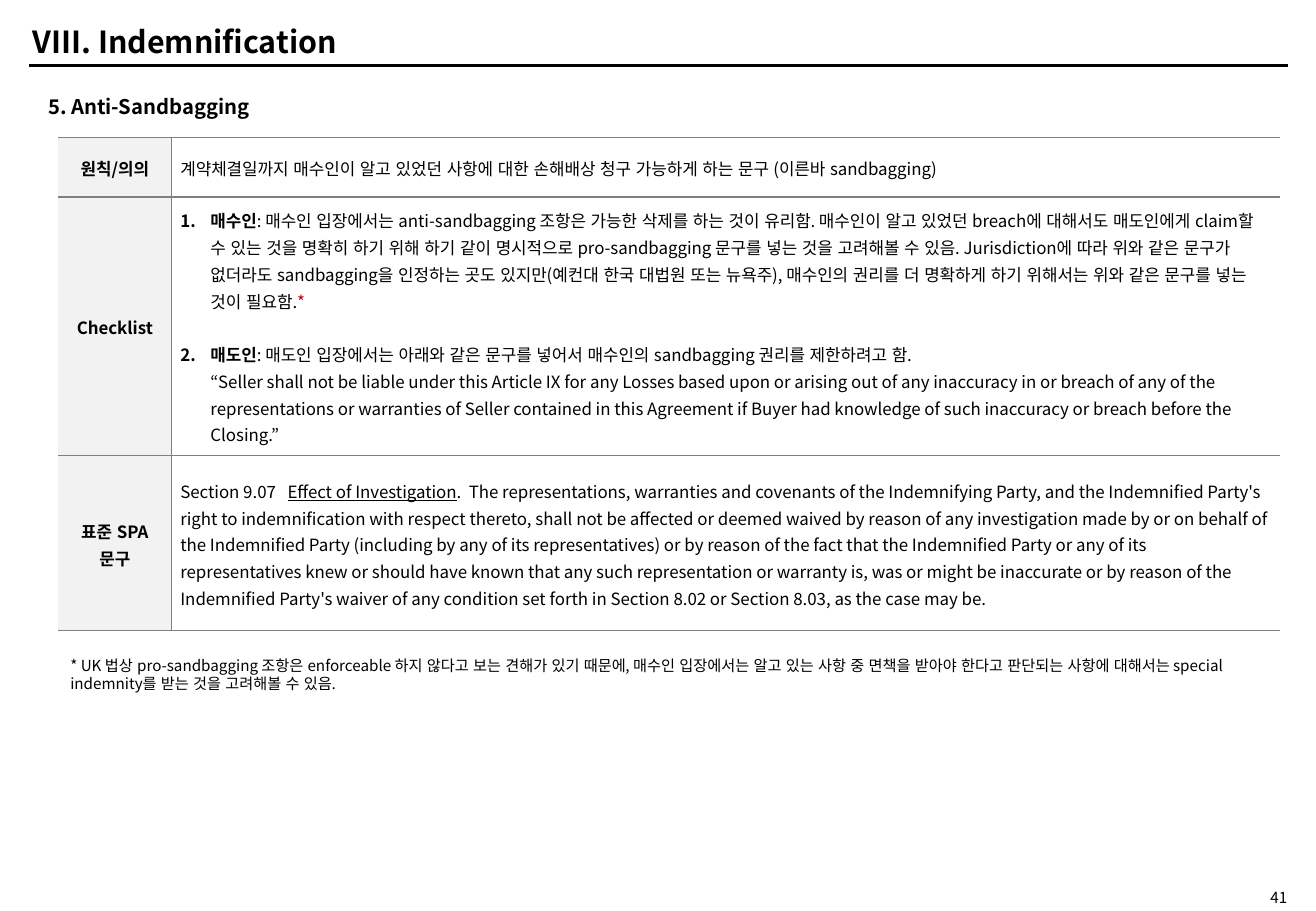
from lxml import etree
from pptx import Presentation
from pptx import util as u
from pptx.dml.color import RGBColor
from pptx.enum import lang, shapes, text
from pptx.oxml import ns

BLACK = RGBColor(0x00, 0x00, 0x00)
RED = RGBColor(0xC0, 0x00, 0x00)
GREY = RGBColor(0x80, 0x80, 0x80)
LABEL_FILL = RGBColor(0xF2, 0xF2, 0xF2)
FONT = "Noto Sans CJK KR"
BORDER_TAGS = ("a:lnL", "a:lnR", "a:lnT", "a:lnB")


def write(frame, *runs, size=10, bold=False, align=text.PP_ALIGN.LEFT, spacing=1.0,
          before=0, indent=None, number=None, tab=None):
    para = frame.paragraphs[0]
    if para.runs:
        para = frame.add_paragraph()
    para.alignment = align
    para.line_spacing = spacing
    para.space_before = u.Pt(before)
    props = para._p.get_or_add_pPr()
    if indent:
        props.set("marL", str(u.Cm(indent)))
        props.set("indent", str(-u.Cm(indent) if number else 0))
    if number:
        etree.SubElement(props, ns.qn("a:buFont"), typeface="+mj-lt")
        etree.SubElement(props, ns.qn("a:buAutoNum"), type="arabicPeriod", startAt=str(number))
    if tab:
        stops = etree.SubElement(props, ns.qn("a:tabLst"))
        etree.SubElement(stops, ns.qn("a:tab"), pos=str(u.Cm(tab)), algn="l")
    for words, style in runs:
        span = para.add_run()
        span.text = words
        span.font.name = FONT
        span.font.size = u.Pt(size)
        span.font.bold = bold or style == "bold"
        span.font.underline = style == "underline"
        span.font.color.rgb = RED if style == "red" else BLACK
        span.font.language_id = lang.MSO_LANGUAGE_ID.KOREAN
        etree.SubElement(span.font._element, ns.qn("a:ea"), typeface=FONT)


deck = Presentation()
deck.slide_width = u.Cm(27.51)
deck.slide_height = u.Cm(19.05)
page = deck.slides.add_slide(deck.slide_layouts[6])

rule = page.shapes.add_connector(
    shapes.MSO_CONNECTOR.STRAIGHT, u.Cm(0.61), u.Cm(1.37), u.Cm(26.92), u.Cm(1.37))
rule.line.color.rgb = BLACK
rule.line.width = u.Pt(2)
etree.SubElement(rule._element.spPr, ns.qn("a:effectLst"))

footnote = ("* UK 법상 pro-sandbagging 조항은 enforceable 하지 않다고 보는 견해가 있기 때문에, "
            "매수인 입장에서는 알고 있는 사항 중 면책을 받아야 한다고 판단되는 사항에 대해서는 "
            "special indemnity를 받는 것을 고려해볼 수 있음.")
MIDDLE, TOP = text.MSO_ANCHOR.MIDDLE, text.MSO_ANCHOR.TOP
LEFT, RIGHT = text.PP_ALIGN.LEFT, text.PP_ALIGN.RIGHT
for words, left, top, width, height, size, bold, align, anchor, margin in (
    ("VIII. Indemnification", 0.43, 0.38, 12.98, 0.97, 18, True, LEFT, MIDDLE, 0.13),
    ("5. Anti-Sandbagging", 0.76, 1.85, 10.31, 0.76, 12, True, LEFT, TOP, 0.13),
    (footnote, 1.22, 13.59, 25.53, 1.02, 9, False, LEFT, TOP, 0.13),
    ("41", 24.77, 18.57, 2.39, 0.38, 9, False, RIGHT, MIDDLE, 0),
):
    box = page.shapes.add_textbox(u.Cm(left), u.Cm(top), u.Cm(width), u.Cm(height))
    frame = box.text_frame
    frame.word_wrap = True
    frame.vertical_anchor = anchor
    frame.margin_top = frame.margin_bottom = u.Cm(margin)
    write(frame, (words, None), size=size, bold=bold, align=align)

buyer = (": 매수인 입장에서는 anti-sandbagging 조항은 가능한 삭제를 하는 것이 유리함. "
         "매수인이 알고 있었던 breach에 대해서도 매도인에게 claim할 수 있는 것을 명확히 하기 위해 "
         "하기 같이 명시적으로 pro-sandbagging 문구를 넣는 것을 고려해볼 수 있음. "
         "Jurisdiction에 따라 위와 같은 문구가 없더라도 sandbagging을 인정하는 곳도 있지만"
         "(예컨대 한국 대법원 또는 뉴욕주), 매수인의 권리를 더 명확하게 하기 위해서는 "
         "위와 같은 문구를 넣는 것이 필요함.")
seller = (": 매도인 입장에서는 아래와 같은 문구를 넣어서 매수인의 sandbagging 권리를 "
          "제한하려고 함.")
seller_clause = (
    "“Seller shall not be liable under this Article IX for any Losses based upon or arising "
    "out of any inaccuracy in or breach of any of the representations or warranties of Seller "
    "contained in this Agreement if Buyer had knowledge of such inaccuracy or breach before "
    "the Closing.”")
standard_clause = (
    ".  The representations, warranties and covenants of the Indemnifying Party, and the "
    "Indemnified Party's right to indemnification with respect thereto, shall not be affected "
    "or deemed waived by reason of any investigation made by or on behalf of the Indemnified "
    "Party (including by any of its representatives) or by reason of the fact that the "
    "Indemnified Party or any of its representatives knew or should have known that any such "
    "representation or warranty is, was or might be inaccurate or by reason of the Indemnified "
    "Party's waiver of any condition set forth in Section 8.02 or Section 8.03, "
    "as the case may be.")
principle = ("계약체결일까지 매수인이 알고 있었던 사항에 대한 손해배상 청구 가능하게 하는 문구 "
             "(이른바 sandbagging)")
rows = (
    ("원칙/의의", 1.25, [([(principle, None)], {})]),
    ("Checklist", 5.41, [
        ([("매수인", "bold"), (buyer, None), ("*", "red")], {"indent": 0.63, "number": 1}),
        ([("매도인", "bold"), (seller, None)], {"indent": 0.63, "number": 2, "before": 16}),
        ([(seller_clause, None)], {"indent": 0.63}),
    ]),
    ("표준 SPA 문구", 3.66, [
        ([("Section 9.07\t", None), ("Effect of Investigation", "underline"),
          (standard_clause, None)], {"tab": 2.24}),
    ]),
)

holder = page.shapes.add_table(
    len(rows), 2, u.Cm(1.22), u.Cm(2.87), u.Cm(25.53), u.Cm(10.32))
table = holder.table
table.first_row = table.horz_banding = False
table.columns[0].width = u.Cm(2.36)
table.columns[1].width = u.Cm(23.17)

for index, (label, height, paragraphs) in enumerate(rows):
    table.rows[index].height = u.Cm(height)
    label_cell, body_cell = table.rows[index].cells
    write(label_cell.text_frame, (label, None), bold=True,
          align=text.PP_ALIGN.CENTER, spacing=1.1)
    for runs, style in paragraphs:
        write(body_cell.text_frame, *runs, spacing=1.1, **style)
    for cell, open_side in ((label_cell, "a:lnL"), (body_cell, "a:lnR")):
        cell.vertical_anchor = MIDDLE
        cell.margin_left = cell.margin_right = u.Cm(0.19)
        cell.margin_top = cell.margin_bottom = 0
        props = cell._tc.get_or_add_tcPr()
        for tag in BORDER_TAGS:
            edge = etree.SubElement(props, ns.qn(tag), w=str(u.Pt(1)))
            if tag == open_side:
                etree.SubElement(edge, ns.qn("a:noFill"))
            else:
                paint = etree.SubElement(edge, ns.qn("a:solidFill"))
                etree.SubElement(paint, ns.qn("a:srgbClr"), val=str(GREY))
        if cell is label_cell:
            cell.fill.solid()
            cell.fill.fore_color.rgb = LABEL_FILL
        else:
            cell.fill.background()

deck.save("out.pptx")
